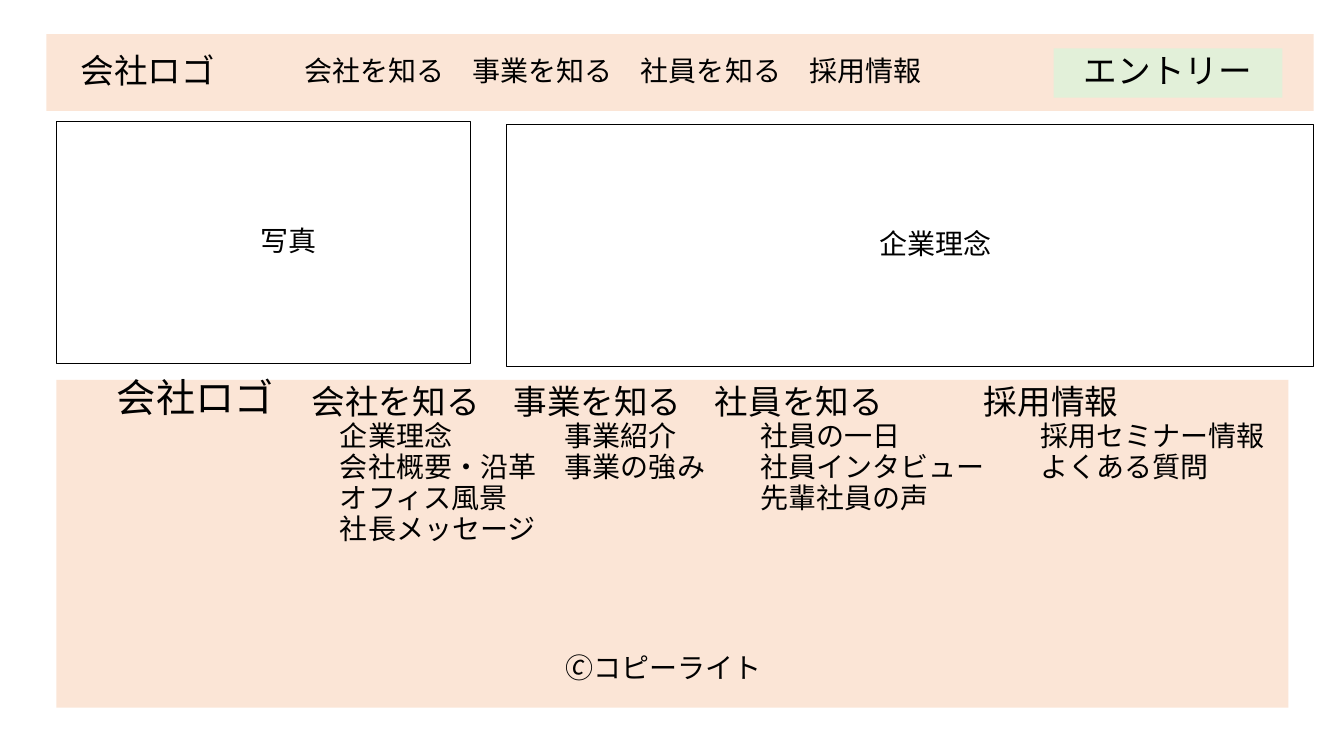
from pptx import Presentation
from pptx.dml.color import RGBColor
from pptx.enum.shapes import MSO_SHAPE
from pptx.enum.text import MSO_ANCHOR, MSO_AUTO_SIZE, PP_ALIGN
from pptx.oxml.ns import qn
from pptx.util import Inches, Pt

HUES = {"peach": "FBE5D6", "green": "E2F0D9", "white": "FFFFFF", "ink": "000000"}
FONT = "Noto Sans CJK JP"

deck = Presentation()
deck.slide_width, deck.slide_height = Inches(13.33), Inches(7.5)
slide = deck.slides.add_slide(deck.slide_layouts.get_by_name("Title Only"))
shapes = slide.shapes


def place(shape, area, fill=None, line=None):
    """Set a shape's area, in percent of the slide, and its fill and line."""
    left, top, width, height = area
    shape.left = int(deck.slide_width * left / 100)
    shape.top = int(deck.slide_height * top / 100)
    shape.width = int(deck.slide_width * width / 100)
    shape.height = int(deck.slide_height * height / 100)
    if fill:
        shape.fill.solid()
        shape.fill.fore_color.rgb = RGBColor.from_string(HUES[fill])
    if line:
        shape.line.color.rgb = RGBColor.from_string(HUES[line])
        shape.line.width = Pt(0.75)
    else:
        shape.line.fill.background()
    return shape


def write(shape, text, size=20, align=PP_ALIGN.CENTER, indent=0, first=True,
          pad=0.1, anchor=MSO_ANCHOR.MIDDLE, before=0):
    """Write one paragraph into a shape; indent and side padding in inches."""
    frame = shape.text_frame
    frame.word_wrap = True
    frame.auto_size = MSO_AUTO_SIZE.NONE
    frame.vertical_anchor = anchor
    frame.margin_left = frame.margin_right = Inches(pad)
    frame.margin_top = frame.margin_bottom = Inches(pad / 2)
    para = frame.paragraphs[0] if first else frame.add_paragraph()
    para.alignment, para.line_spacing = align, 0.9
    para.space_before = Pt(before)
    props = para._p.get_or_add_pPr()
    props.set("marL", str(Inches(indent)))
    props.set("indent", "0")
    run = para.add_run()
    run.text = text
    run.font.size, run.font.name = Pt(size), FONT
    run.font.color.rgb = RGBColor.from_string(HUES["ink"])
    east = run._r.get_or_add_rPr().makeelement(qn("a:ea"), {"typeface": FONT})
    run.font._element.find(qn("a:latin")).addnext(east)


# Header: logo title, then the panels
write(place(shapes.title, (3.45, 4.53, 15.08, 10.13), "peach"), "会社ロゴ", size=24)

menu = ["会社を知る", "事業を知る", "社員を知る", "採用情報"]
panels = [
    ((18.15, 4.53, 79.6, 10.13), "peach", None, "　".join(menu),
     {"align": PP_ALIGN.LEFT, "indent": 0.5}),
    ((78.39, 6.4, 17.03, 6.53), "green", None, "エントリー", {"size": 24}),
    ((37.66, 16.53, 60.09, 32), "white", "ink", "企業理念", {"indent": 0.5}),
    ((4.2, 16.13, 30.83, 32), "white", "ink", "写真", {"indent": 0.5}),
    ((4.2, 50.27, 91.67, 43.33), "peach", None, None, {}),
]
for area, fill, line, text, form in panels:
    panel = shapes.add_shape(MSO_SHAPE.RECTANGLE, 0, 0, 0, 0)
    panel.shadow.inherit = False
    place(panel, area, fill, line)
    if text:
        write(panel, text, **form)

# Footer: logo, site map columns, copyright
plain = {"align": PP_ALIGN.LEFT, "pad": 0, "anchor": MSO_ANCHOR.TOP}
for area, text, size in [((8.7, 50.13, 14, 6), "会社ロゴ", 28),
                         ((42.05, 86.53, 18, 5), "🄫コピーライト", 20)]:
    write(place(shapes.add_textbox(0, 0, 0, 0), area), text, size=size, **plain)

links = [
    (23.2, 17, 0.28, ["企業理念", "会社概要・沿革", "オフィス風景", "社長メッセージ"]),
    (38.2, 15, 0.51, ["事業紹介", "事業の強み"]),
    (53.2, 21, 0.45, ["社員の一日", "社員インタビュー", "先輩社員の声"]),
    (73.2, 22, 0.56, ["採用セミナー情報", "よくある質問"]),
]
for head, (left, width, indent, items) in zip(menu, links):
    box = place(shapes.add_textbox(0, 0, 0, 0), (left, 50.93, width, 27))
    write(box, head, size=24, **plain)
    for item in items:
        write(box, item, indent=indent, first=False, before=0.6, **plain)

deck.save("out.pptx")
